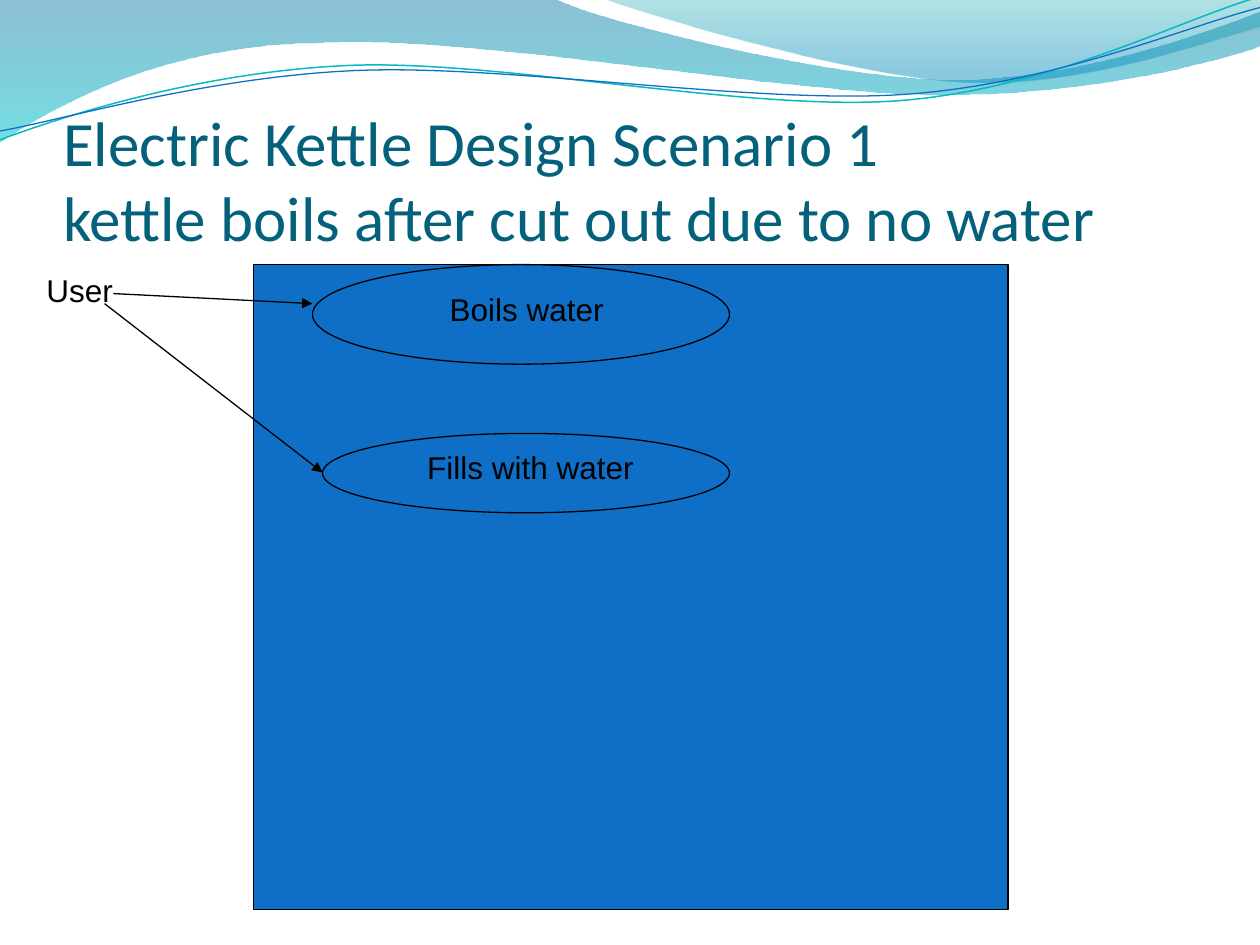
import pptx
import pptx.util
import pptx.dml.color
import pptx.enum.shapes
import pptx.enum.text
import pptx.oxml
import pptx.oxml.ns

Inches = pptx.util.Inches
Pt = pptx.util.Pt
RGBColor = pptx.dml.color.RGBColor
Shapes = pptx.enum.shapes.MSO_SHAPE
Align = pptx.enum.text.PP_ALIGN
Anchor = pptx.enum.text.MSO_ANCHOR
qn = pptx.oxml.ns.qn

BLACK = RGBColor(0x00, 0x00, 0x00)
BLUE = RGBColor(0x0F, 0x6F, 0xC6)
TEAL = RGBColor(0x0A, 0xB8, 0xBF)
TITLE = RGBColor(0x04, 0x61, 0x7B)
WAVE_TOP = RGBColor(0x00, 0x74, 0xA1)
WAVE_BOTTOM = RGBColor(0x00, 0xC6, 0xCF)
CREST_TOP = RGBColor(0x00, 0xA1, 0xA9)
CREST_BOTTOM = RGBColor(0x00, 0x8B, 0xBF)

# A two-number step is a straight segment, a six-number step a Bezier curve.
WAVE = [(0, -0.01), (4.4, -0.01), (4.76, 0.17, 6.64, 0.63, 7.58, 0.63),
        (8.53, 0.63, 9.58, 0.26, 10, 0.09), (10.01, 0.36),
        (9.83, 0.44, 8.7, 0.76, 7.46, 0.75), (6.22, 0.75, 3.82, 0.28, 2.57, 0.34),
        (1.29, 0.35, 0.46, 0.83, -0.01, 1.13), (0, -0.01)]
CREST = [(4.79, -0.01), (5.09, 0.11, 6.82, 0.62, 7.69, 0.65),
         (8.56, 0.69, 9.61, 0.32, 10, 0.21), (10, 0), (4.79, -0.01)]
TEAL_STRAND = [(0, 1.11), (0.48, 0.93, 1.58, 0.57, 2.77, 0.52),
               (3.95, 0.47, 5.93, 0.89, 7.13, 0.8), (8.33, 0.71, 9.38, 0.15, 9.98, -0.02)]
BLUE_STRAND = [(0, 1.04), (0.47, 0.96, 1.64, 0.61, 2.83, 0.56),
               (4.03, 0.51, 5.97, 0.83, 7.17, 0.75), (8.36, 0.67, 9.41, 0.21, 10, 0.06)]


def make_element(tag, attributes=""):
    return pptx.oxml.parse_xml(f'<a:{tag} {pptx.oxml.ns.nsdecls("a")} {attributes}/>')


def add_outline(page, steps, close):
    """Add a freeform, merging the three points of each Bezier step into one curve."""
    points = [(Inches(step[index]), Inches(step[index + 1]))
              for step in steps for index in range(0, len(step), 2)]
    builder = page.shapes.build_freeform(*points[0])
    builder.add_line_segments(points[1:], close=close)
    shape = builder.convert_to_shape()
    shape.shadow.inherit = False
    segments = iter(list(shape.element.iter(qn("a:lnTo"))))
    for step in steps[1:]:
        parts = [next(segments) for _ in range(len(step) // 2)]
        if len(parts) == 3:
            curve = make_element("cubicBezTo")
            parts[0].addprevious(curve)
            for part in parts:
                curve.append(part[0])
                part.getparent().remove(part)
    return shape


def add_band(page, steps, stops):
    """Add a closed shape with a translucent gradient from top to bottom."""
    band = add_outline(page, steps, True)
    band.line.fill.background()
    band.fill.gradient()
    band.fill.gradient_angle = 270
    for stop, (position, color, opacity) in zip(band.fill.gradient_stops, stops):
        stop.position = position
        stop.color.rgb = color
    for element, (position, color, opacity) in zip(band.element.iter(qn("a:gs")), stops):
        element[0].append(make_element("alpha", f'val="{opacity * 1000}"'))


def add_strand(page, steps, color, width):
    strand = add_outline(page, steps, False)
    strand.fill.background()
    strand.line.color.rgb = color
    strand.line.width = Pt(width)


def add_block(page, kind, left, top, width, height):
    block = page.shapes.add_shape(kind, Inches(left), Inches(top), Inches(width), Inches(height))
    block.shadow.inherit = False
    block.fill.solid()
    block.fill.fore_color.rgb = BLUE
    block.line.color.rgb = BLACK
    block.line.width = Pt(0.75)


def add_text(page, lines, left, top, width, height, align=Align.LEFT,
             font="Arial", size=18, color=BLACK):
    box = page.shapes.add_textbox(Inches(left), Inches(top), Inches(width), Inches(height))
    frame = box.text_frame
    frame.word_wrap = True
    para = frame.paragraphs[0]
    para.alignment = align
    for index, line in enumerate(lines):
        if index:
            para.add_line_break()
        span = para.add_run()
        span.text = line
        span.font.name = font
        span.font.size = Pt(size)
        span.font.color.rgb = color
    return frame


def add_title(page, lines):
    frame = add_text(page, lines, 0.5, 0.77, 9.08, 1.25, font="Calibri", size=36, color=TITLE)
    frame.vertical_anchor = Anchor.BOTTOM
    frame.margin_left = frame.margin_right = frame.margin_bottom = 0


def add_arrow(page, start, end):
    arrow = page.shapes.add_connector(pptx.enum.shapes.MSO_CONNECTOR.STRAIGHT,
                                      *map(Inches, start + end))
    arrow.line.color.rgb = BLACK
    arrow.line.width = Pt(0.75)
    properties = arrow.element.spPr
    properties.find(qn("a:ln")).append(make_element("tailEnd", 'type="triangle"'))
    properties.append(make_element("effectLst"))


def main():
    deck = pptx.Presentation()
    deck.slide_width, deck.slide_height = Inches(10), Inches(7.5)
    page = deck.slides.add_slide(deck.slide_layouts[6])

    add_band(page, WAVE, [(0, WAVE_TOP, 45), (1, WAVE_BOTTOM, 55)])
    add_band(page, CREST, [(0, CREST_TOP, 30), (0.8, CREST_BOTTOM, 45)])
    add_strand(page, TEAL_STRAND, TEAL, 0.85)
    add_strand(page, BLUE_STRAND, BLUE, 0.75)
    add_title(page, ["Electric Kettle Design Scenario 1",
                     "kettle boils after cut out due to no water"])

    add_block(page, Shapes.RECTANGLE, 2.01, 2.1, 5.99, 5.12)
    add_text(page, ["User"], 0.27, 2.1, 1.58, 0.4)
    add_block(page, Shapes.OVAL, 2.48, 2.1, 3.31, 0.79)
    add_text(page, ["Boils water"], 2.8, 2.25, 2.76, 0.4, Align.CENTER)
    add_arrow(page, (0.9, 2.33), (2.48, 2.41))
    add_block(page, Shapes.OVAL, 2.56, 3.44, 3.23, 0.63)
    add_text(page, ["Fills with water"], 2.95, 3.51, 2.52, 0.4, Align.CENTER)
    add_arrow(page, (0.83, 2.41), (2.56, 3.75))

    deck.save("out.pptx")


if __name__ == "__main__":
    main()
